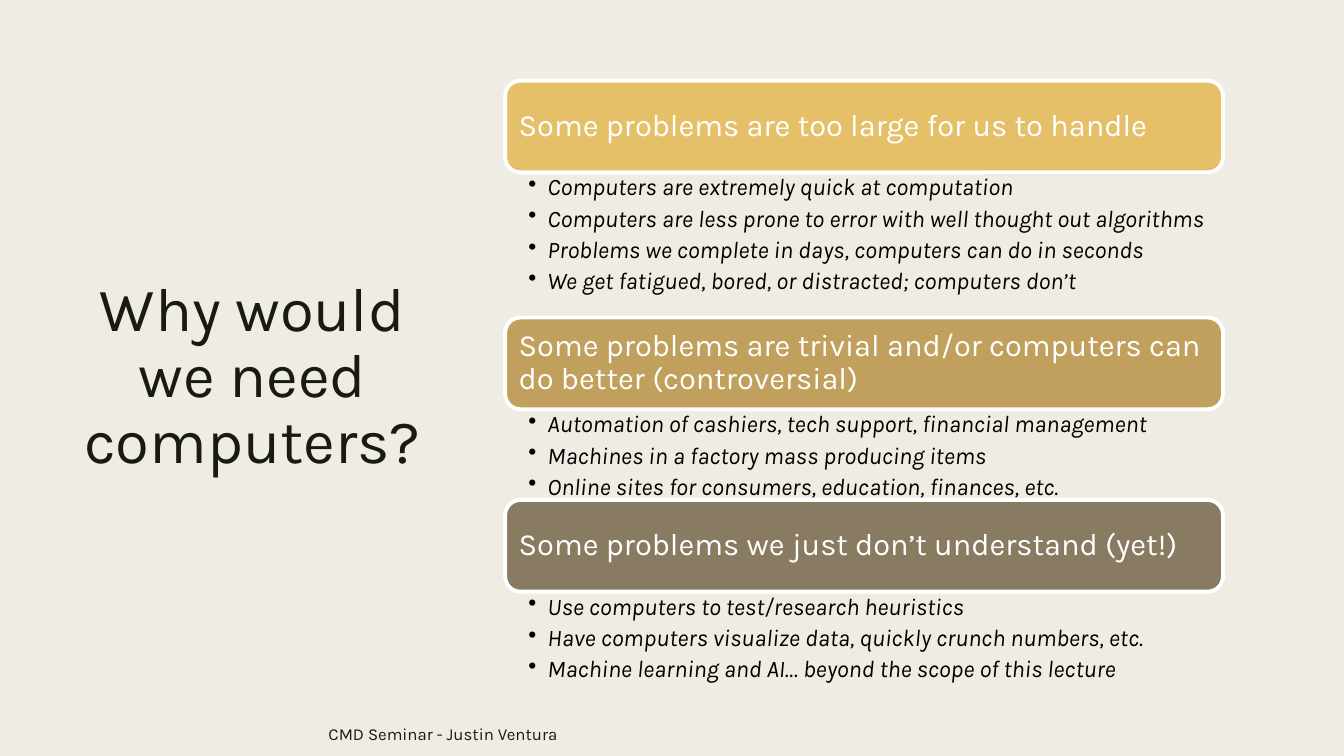
from dataclasses import dataclass

from lxml import etree
from pptx import Presentation
from pptx.dml.color import RGBColor
from pptx.enum.shapes import MSO_SHAPE
from pptx.enum.text import MSO_ANCHOR, PP_ALIGN
from pptx.oxml.ns import qn
from pptx.util import Inches, Pt

ROUNDED = MSO_SHAPE.ROUNDED_RECTANGLE
MIDDLE, TOP = MSO_ANCHOR.MIDDLE, MSO_ANCHOR.TOP
LEFT, CENTER = PP_ALIGN.LEFT, PP_ALIGN.CENTER


@dataclass(frozen=True)
class Theme:
    """Colours, font and type sizes of the slide."""
    font: str = "Karla"
    background: str = "EFEDE3"
    ink: str = "191B0E"
    bullet_ink: str = "000000"
    white: str = "FFFFFF"
    banners: tuple = ("E6C069", "C0A05C", "897B61")
    title_size: int = 44
    banner_size: int = 22
    bullet_size: int = 17
    footer_size: int = 12


THEME = Theme()
COLUMN_LEFT, COLUMN_TOP, COLUMN_WIDTH = 5.01, 0.8, 7.12
BANNER_HEIGHT = 0.91
BULLET_HEIGHTS = {3: 0.9, 4: 1.44}
TITLE = "Why would we need computers?"
FOOTER = "CMD Seminar - Justin Ventura"
SECTIONS = [
    ("Some problems are too large for us to handle", [
        "Computers are extremely quick at computation",
        "Computers are less prone to error with well thought out algorithms",
        "Problems we complete in days, computers can do in seconds",
        "We get fatigued, bored, or distracted; computers don’t",
    ]),
    ("Some problems are trivial and/or computers can do better (controversial)", [
        "Automation of cashiers, tech support, financial management",
        "Machines in a factory mass producing items",
        "Online sites for consumers, education, finances, etc.",
    ]),
    ("Some problems we just don’t understand (yet!)", [
        "Use computers to test/research heuristics",
        "Have computers visualize data, quickly crunch numbers, etc.",
        "Machine learning and AI… beyond the scope of this lecture",
    ]),
]


def rgb(value):
    """Turn a hex string into a colour."""
    return RGBColor.from_string(value)


def write_text(s, text, size, color, align=LEFT, anchor=MIDDLE,
               spacing=0.9, insets=(0.1, 0.05, 0.1, 0.05), italic=False):
    """Fill a shape with formatted text and return its text frame."""
    tf = s.text_frame
    tf.word_wrap = True
    tf.vertical_anchor = anchor
    (tf.margin_left, tf.margin_top,
     tf.margin_right, tf.margin_bottom) = map(Inches, insets)
    tf.text = text
    for p in tf.paragraphs:
        p.alignment = align
        p.line_spacing = spacing
        for r in p.runs:
            r.font.name = THEME.font
            r.font.size = Pt(size)
            r.font.italic = italic
            r.font.color.rgb = rgb(color)
    return tf


def add_text(slide, box, text, size, color, **options):
    """Add a text box at the given left, top, width and height."""
    s = slide.shapes.add_textbox(*map(Inches, box))
    return write_text(s, text, size, color, **options)


def add_banner(slide, top, text, color):
    """Add a rounded section heading with a white outline."""
    box = (COLUMN_LEFT, top, COLUMN_WIDTH, BANNER_HEIGHT)
    s = slide.shapes.add_shape(ROUNDED, *map(Inches, box))
    s.shadow.inherit = False
    s.fill.solid()
    s.fill.fore_color.rgb = rgb(color)
    s.line.color.rgb = rgb(THEME.white)
    s.line.width = Pt(2.75)
    write_text(s, text, THEME.banner_size, THEME.white, insets=(0.09,) * 4)


def add_bullets(slide, top, height, items):
    """Add a bulleted list in italics below a banner."""
    tf = add_text(slide, (COLUMN_LEFT, top, COLUMN_WIDTH, height),
                  "\n".join(items), THEME.bullet_size, THEME.bullet_ink,
                  anchor=TOP, insets=(0.23, 0.03, 0.17, 0.03), italic=True)
    for p in tf.paragraphs:
        p.space_after = Pt(4)
        pPr = p._p.get_or_add_pPr()
        pPr.set("marL", str(Inches(0.19)))
        pPr.set("indent", str(-Inches(0.19)))
        etree.SubElement(pPr, qn("a:buChar")).set("char", "•")


def main():
    """Build the slide and save it."""
    prs = Presentation()
    prs.slide_width, prs.slide_height = Inches(13.33), Inches(7.5)
    slide = prs.slides.add_slide(prs.slide_layouts[6])
    fill = slide.background.fill
    fill.solid()
    fill.fore_color.rgb = rgb(THEME.background)

    add_text(slide, (0.7, 0.7, 3.61, 6.1), TITLE, THEME.title_size,
             THEME.ink, align=CENTER, spacing=0.89)
    add_text(slide, (3.16, 7.06, 6.87, 0.44), FOOTER, THEME.footer_size,
             THEME.ink, spacing=1.0)

    top = COLUMN_TOP
    for (heading, items), color in zip(SECTIONS, THEME.banners):
        height = BULLET_HEIGHTS[len(items)]
        add_banner(slide, top, heading, color)
        add_bullets(slide, top + BANNER_HEIGHT, height, items)
        top += BANNER_HEIGHT + height

    prs.save("out.pptx")


main()
